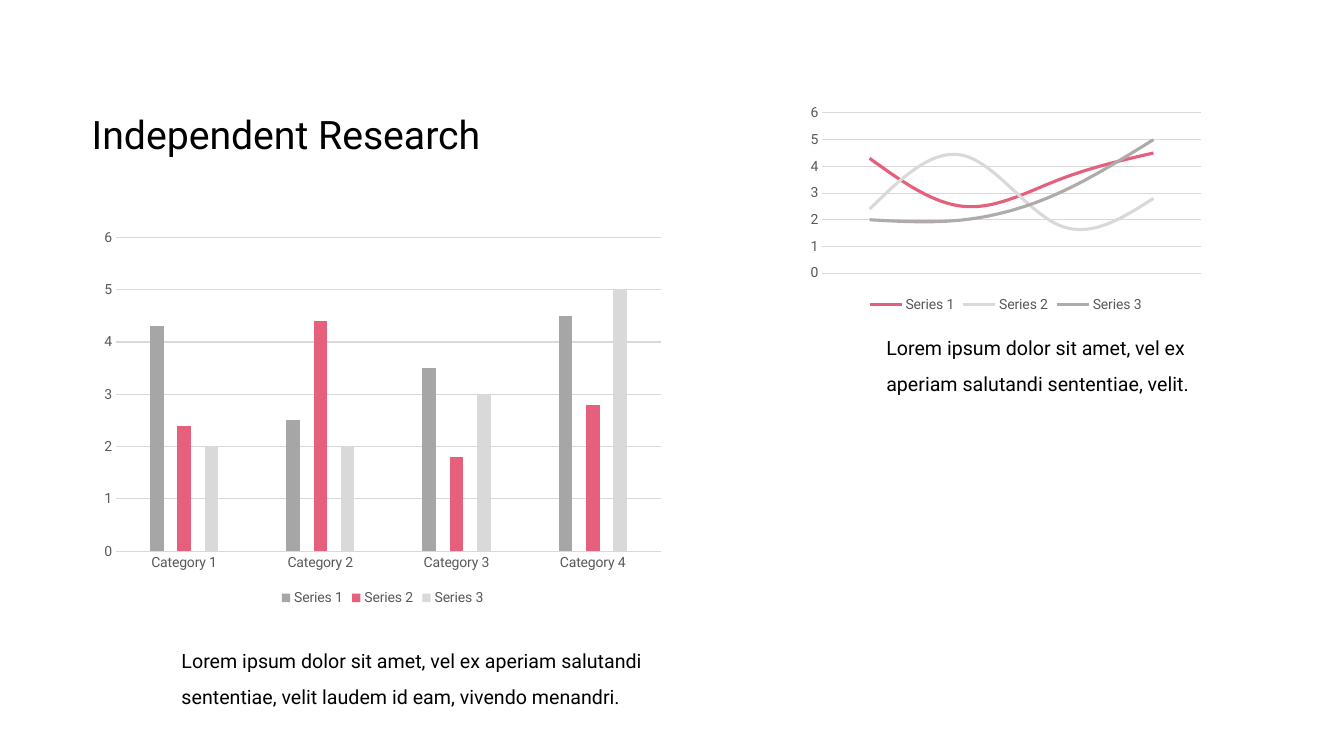
import pptx
import pptx.util
import pptx.chart.data
import pptx.dml.color
import pptx.enum.chart
import pptx.enum.text

Inches = pptx.util.Inches
Pt = pptx.util.Pt
ChartType = pptx.enum.chart.XL_CHART_TYPE


class Theme:
    font = "Roboto"
    ink = "000000"
    label = "595959"
    grid = "D9D9D9"
    pink = "E65F7D"
    light = "D9D9D9"
    gray = "A6A6A6"
    warm_gray = "AFABAB"
    title_size = 28
    body_size = 14
    label_size = 10
    grid_width = 0.75
    curve_width = 2.25


SERIES = {
    "Series 1": (4.3, 2.5, 3.5, 4.5),
    "Series 2": (2.4, 4.4, 1.8, 2.8),
    "Series 3": (2, 2, 3, 5),
}


def rgb(color):
    return pptx.dml.color.RGBColor.from_string(color)


def set_font(font, size, color):
    font.name = Theme.font
    font.size = Pt(size)
    font.color.rgb = rgb(color)


def set_line(line, color, width):
    line.color.rgb = rgb(color)
    line.width = Pt(width)


def write_text(frame, text, size=Theme.body_size, color=Theme.ink, line_spacing=1.5):
    para = frame.paragraphs[0]
    para.line_spacing = line_spacing
    span = para.add_run()
    span.text = text
    set_font(span.font, size, color)


class SlideBuilder:
    def __init__(self, page, theme):
        self.page = page
        self.theme = theme

    def text(self, left, top, width, height, text, **text_format):
        box = self.page.shapes.add_textbox(
            Inches(left), Inches(top), Inches(width), Inches(height))
        frame = box.text_frame
        frame.word_wrap = True
        frame.vertical_anchor = pptx.enum.text.MSO_ANCHOR.MIDDLE
        frame.margin_left = 0
        write_text(frame, text, **text_format)

    def chart(self, kind, left, top, width, height, categories):
        theme = self.theme
        data = pptx.chart.data.CategoryChartData()
        data.categories = categories
        for name, values in SERIES.items():
            data.add_series(name, values)
        chart = self.page.shapes.add_chart(
            kind, Inches(left), Inches(top), Inches(width), Inches(height), data).chart
        chart.has_title = False
        set_font(chart.font, theme.label_size, theme.ink)

        # Legend
        chart.has_legend = True
        chart.legend.position = pptx.enum.chart.XL_LEGEND_POSITION.BOTTOM
        chart.legend.include_in_layout = False
        set_font(chart.legend.font, theme.label_size, theme.label)

        # Axes
        for axis in (chart.category_axis, chart.value_axis):
            axis.major_tick_mark = pptx.enum.chart.XL_TICK_MARK.NONE
            axis.minor_tick_mark = pptx.enum.chart.XL_TICK_MARK.NONE
            set_font(axis.tick_labels.font, theme.label_size, theme.label)
        set_line(chart.category_axis.format.line, theme.grid, theme.grid_width)
        values_axis = chart.value_axis
        values_axis.minimum_scale = 0
        values_axis.maximum_scale = 6
        values_axis.major_unit = 1
        values_axis.format.line.fill.background()
        values_axis.has_major_gridlines = True
        set_line(values_axis.major_gridlines.format.line, theme.grid, theme.grid_width)
        return chart

    def line_chart(self, *place, categories, colors):
        chart = self.chart(ChartType.LINE, *place, categories)
        chart.category_axis.visible = False
        chart.plots[0].vary_by_categories = False
        for series, color in zip(chart.plots[0].series, colors):
            series.smooth = True
            series.marker.style = pptx.enum.chart.XL_MARKER_STYLE.NONE
            set_line(series.format.line, color, self.theme.curve_width)

    def column_chart(self, *place, categories, colors):
        chart = self.chart(ChartType.COLUMN_CLUSTERED, *place, categories)
        plot = chart.plots[0]
        plot.vary_by_categories = False
        plot.gap_width = 500
        plot.overlap = -100
        for series, color in zip(plot.series, colors):
            series.format.fill.solid()
            series.format.fill.fore_color.rgb = rgb(color)


def main():
    deck = pptx.Presentation()
    deck.slide_width = Inches(13.33)
    deck.slide_height = Inches(7.5)
    theme = Theme()
    builder = SlideBuilder(deck.slides.add_slide(deck.slide_layouts[6]), theme)

    # Title
    builder.text(0.91, 1.02, 4.51, 0.58, "Independent Research",
                 size=theme.title_size, line_spacing=Pt(36))

    # Charts
    builder.line_chart(7.96, 1, 4.03, 2.14, categories=["1", "2", "3", "4"],
                       colors=(theme.pink, theme.light, theme.warm_gray))
    builder.column_chart(0.92, 2.2, 5.75, 3.85,
                         categories=[f"Category {number}" for number in range(1, 5)],
                         colors=(theme.gray, theme.pink, theme.light))

    # Captions
    builder.text(1.8, 6.27, 4.89, 0.81,
                 "Lorem ipsum dolor sit amet, vel ex aperiam salutandi sententiae, "
                 "velit laudem id eam, vivendo menandri.")
    builder.text(8.79, 3.24, 3.25, 0.66,
                 "Lorem ipsum dolor sit amet, vel ex aperiam salutandi sententiae, velit.")

    deck.save("out.pptx")


if __name__ == "__main__":
    main()
